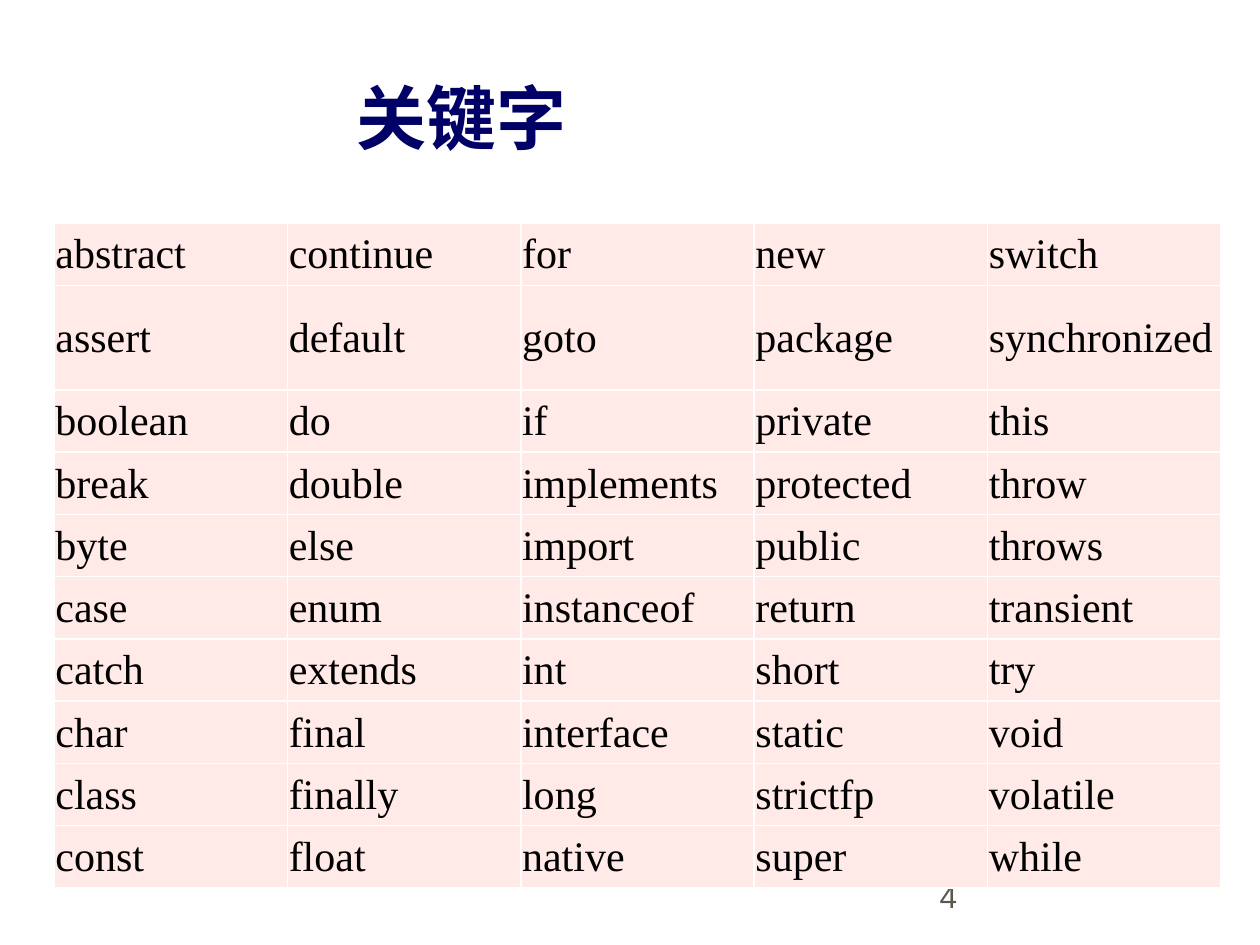
import pptx
import pptx.util
import pptx.dml.color
import pptx.enum.text
import pptx.oxml
import pptx.oxml.ns
from lxml import etree

ANCHOR = pptx.enum.text.MSO_ANCHOR
AUTO_SIZE = pptx.enum.text.MSO_AUTO_SIZE
ALIGN = pptx.enum.text.PP_ALIGN

# Java keywords in alphabetical order, read down each table column
KEYWORDS = """
abstract assert boolean break byte case catch char class const
continue default do double else enum extends final finally float
for goto if implements import instanceof int interface long native
new package private protected public return short static strictfp super
switch synchronized this throw throws transient try void volatile while
""".split()
ROW_COUNT = 10


def color(hex_string):
    return pptx.dml.color.RGBColor.from_string(hex_string)


def set_values(target, values):
    for name, value in values.items():
        setattr(target, name, value)


class SlideBuilder:
    """Holds the style and the current slide; lengths are shares of its size."""

    title_style = {"name": "Times New Roman", "size": pptx.util.Pt(40), "bold": True}
    cell_style = {"name": "Times New Roman", "size": pptx.util.Pt(24)}
    number_style = {"name": "Arial", "size": pptx.util.Pt(18)}
    cell_format = {
        "vertical_anchor": ANCHOR.MIDDLE,
        "margin_left": pptx.util.Inches(0.01),
        "margin_right": pptx.util.Inches(0.01),
        "margin_top": pptx.util.Inches(0.01),
        "margin_bottom": 0,
    }
    cell_fill = "FFEAE7"
    border_color = "FFFFFF"

    def __init__(self, presentation):
        self.width = presentation.slide_width
        self.height = presentation.slide_height
        self.slide = presentation.slides.add_slide(presentation.slide_layouts[5])

    def box(self, left, top, width, height):
        return (round(left * self.width), round(top * self.height),
                round(width * self.width), round(height * self.height))

    def add_text(self, text_frame, text, style, text_color):
        paragraph = text_frame.paragraphs[0]
        paragraph.alignment = ALIGN.LEFT
        run = paragraph.add_run()
        run.text = text
        set_values(run.font, style)
        run.font.color.rgb = color(text_color)

    def title(self, text, *place):
        shape = self.slide.shapes.title
        set_values(shape, dict(zip(("left", "top", "width", "height"), self.box(*place))))
        set_values(shape.text_frame, {
            "word_wrap": True,
            "vertical_anchor": ANCHOR.TOP,
            "auto_size": AUTO_SIZE.SHAPE_TO_FIT_TEXT,
        })
        self.add_text(shape.text_frame, text, self.title_style, "000066")

    def page_number(self, text, *place):
        shape = self.slide.shapes.add_textbox(*self.box(*place))
        set_values(shape.text_frame, {"word_wrap": True, "vertical_anchor": ANCHOR.BOTTOM})
        self.add_text(shape.text_frame, text, self.number_style, "5E574E")

    def borders(self, cell):
        properties = cell._tc.get_or_add_tcPr()
        for index, side in enumerate(("lnL", "lnR", "lnT", "lnB")):
            line = etree.Element(pptx.oxml.ns.qn(f"a:{side}"), w=str(int(pptx.util.Pt(1))))
            fill = etree.SubElement(line, pptx.oxml.ns.qn("a:solidFill"))
            etree.SubElement(fill, pptx.oxml.ns.qn("a:srgbClr"), val=self.border_color)
            properties.insert(index, line)

    def table(self, words, row_count, row_shares, *place):
        column_count = len(words) // row_count
        table = self.slide.shapes.add_table(
            row_count, column_count, *self.box(*place)).table
        set_values(table, {"first_row": False, "horz_banding": False})
        for row, share in zip(table.rows, row_shares):
            row.height = round(share * self.height)
        for index, word in enumerate(words):
            column, row = divmod(index, row_count)
            cell = table.cell(row, column)
            set_values(cell, self.cell_format)
            cell.fill.solid()
            cell.fill.fore_color.rgb = color(self.cell_fill)
            self.borders(cell)
            self.add_text(cell.text_frame, word, self.cell_style, "000000")


def main():
    presentation = pptx.Presentation()
    presentation.slide_width = pptx.util.Inches(10)
    presentation.slide_height = pptx.util.Inches(7.5)
    builder = SlideBuilder(presentation)

    # Heading and page number
    builder.title("关键字", 2.73 / 10, 0.54 / 7.5, 3.45 / 10, 0.77 / 7.5)
    builder.page_number("4", 7.36 / 10, 6.81 / 7.5, 2.08 / 10, 0.5 / 7.5)

    # Keyword table: the second row is taller, the others share the rest
    table_height, tall_row = 5.28, 0.83
    plain_row = (table_height - tall_row) / (ROW_COUNT - 1)
    row_shares = [(tall_row if row == 1 else plain_row) / 7.5 for row in range(ROW_COUNT)]
    builder.table(KEYWORDS, ROW_COUNT, row_shares,
                  0.43 / 10, 1.77 / 7.5, 9.26 / 10, table_height / 7.5)

    presentation.save("out.pptx")


if __name__ == "__main__":
    main()
